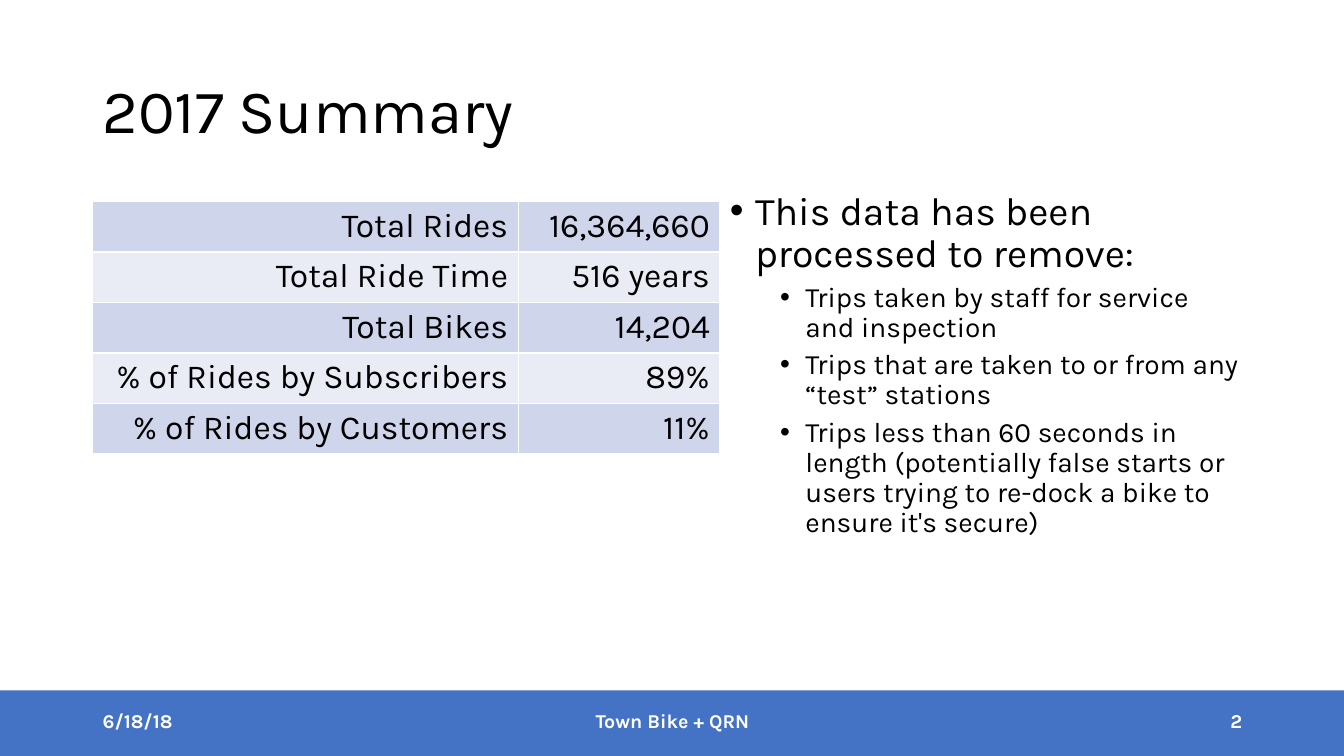
from dataclasses import dataclass

from lxml import etree
from pptx import Presentation
from pptx.dml.color import RGBColor
from pptx.enum.shapes import MSO_SHAPE
from pptx.enum.text import MSO_ANCHOR, PP_ALIGN
from pptx.oxml.ns import qn
from pptx.util import Inches, Pt

RECTANGLE = MSO_SHAPE.RECTANGLE
TOP, MIDDLE = MSO_ANCHOR.TOP, MSO_ANCHOR.MIDDLE
LEFT, CENTER, RIGHT = PP_ALIGN.LEFT, PP_ALIGN.CENTER, PP_ALIGN.RIGHT

FONT = "Karla"
BLACK, WHITE, BLUE = "000000", "FFFFFF", "4472C4"
BAND_FILLS = ("CFD5EA", "E9EBF5")
SLIDE_WIDTH, SLIDE_HEIGHT = 13.33, 7.5
MARGIN = 0.92
FOOTER_TOP = 6.85
ROW_HEIGHT = 0.49
COLUMN_WIDTHS = (4.22, 2)


@dataclass
class FooterItem:
    text: str
    left: float
    width: float
    alignment: PP_ALIGN


@dataclass
class Bullet:
    text: str
    level: int
    size: int
    indent: float
    space_before: int


FOOTER_ITEMS = (
    FooterItem("6/18/18", MARGIN, 3, LEFT),
    FooterItem("Town Bike + QRN", 4.42, 4.5, CENTER),
    FooterItem("2", 9.42, 3, RIGHT),
)

SUMMARY_ROWS = (
    ("Total Rides", "16,364,660"),
    ("Total Ride Time", "516 years"),
    ("Total Bikes", "14,204"),
    ("% of Rides by Subscribers", "89%"),
    ("% of Rides by Customers", "11%"),
)

REMOVED_TRIPS = (
    "Trips taken by staff for service and inspection",
    "Trips that are taken to or from any “test” stations",
    "Trips less than 60 seconds in length (potentially false starts or "
    "users trying to re-dock a bike to ensure it's secure)",
)

BULLETS = (
    Bullet("This data has been processed to remove:", 0, 28, 0.25, 10),
    *(Bullet(trip, 1, 20, 0.75, 5) for trip in REMOVED_TRIPS),
)


def color(value: str) -> RGBColor:
    return RGBColor.from_string(value)


def format_paragraph(paragraph, size: int, font_color: str = BLACK,
                     alignment: PP_ALIGN = LEFT, bold: bool = False) -> None:
    paragraph.alignment = alignment
    for run in paragraph.runs:
        run.font.name = FONT
        run.font.size = Pt(size)
        run.font.bold = bold
        run.font.color.rgb = color(font_color)


def add_text_frame(slide, left: float, top: float, width: float, height: float,
                   anchor: MSO_ANCHOR = MIDDLE):
    text_box = slide.shapes.add_textbox(
        Inches(left), Inches(top), Inches(width), Inches(height))
    text_frame = text_box.text_frame
    text_frame.word_wrap = True
    text_frame.vertical_anchor = anchor
    return text_frame


def add_title(slide) -> None:
    text_frame = add_text_frame(slide, MARGIN, 0.4, 11.5, 1.45)
    text_frame.text = "2017 Summary"
    paragraph = text_frame.paragraphs[0]
    paragraph.line_spacing = 0.9
    format_paragraph(paragraph, 44)


def add_summary_table(slide) -> None:
    frame = slide.shapes.add_table(
        len(SUMMARY_ROWS), len(COLUMN_WIDTHS), Inches(MARGIN), Inches(2),
        Inches(sum(COLUMN_WIDTHS)), Inches(ROW_HEIGHT * len(SUMMARY_ROWS)))
    table = frame.table
    table.first_row = False
    for column, width in zip(table.columns, COLUMN_WIDTHS):
        column.width = Inches(width)
    for row_index, values in enumerate(SUMMARY_ROWS):
        table.rows[row_index].height = Inches(ROW_HEIGHT)
        for column_index, value in enumerate(values):
            cell = table.cell(row_index, column_index)
            cell.fill.solid()
            cell.fill.fore_color.rgb = color(BAND_FILLS[row_index % 2])
            cell.text_frame.text = value
            format_paragraph(cell.text_frame.paragraphs[0], 24, alignment=RIGHT)


def add_bullets(slide) -> None:
    text_frame = add_text_frame(slide, 7.14, 1.85, 5.28, 4.76, TOP)
    text_frame.text = "\n".join(bullet.text for bullet in BULLETS)
    for paragraph, bullet in zip(text_frame.paragraphs, BULLETS):
        paragraph.level = bullet.level
        paragraph.line_spacing = 0.9
        paragraph.space_before = Pt(bullet.space_before)
        format_paragraph(paragraph, bullet.size)
        properties = paragraph._p.get_or_add_pPr()
        properties.set("marL", str(Inches(bullet.indent)))
        properties.set("indent", str(Inches(-0.25)))
        etree.SubElement(properties, qn("a:buFont")).set("typeface", "Arial")
        etree.SubElement(properties, qn("a:buChar")).set("char", "•")


def add_footer(slide) -> None:
    bar = slide.shapes.add_shape(
        RECTANGLE, 0, Inches(FOOTER_TOP), Inches(SLIDE_WIDTH),
        Inches(SLIDE_HEIGHT - FOOTER_TOP))
    bar.shadow.inherit = False
    bar.fill.solid()
    bar.fill.fore_color.rgb = color(BLUE)
    bar.line.fill.background()
    for item in FOOTER_ITEMS:
        text_frame = add_text_frame(slide, item.left, 6.95, item.width, 0.4)
        text_frame.text = item.text
        format_paragraph(text_frame.paragraphs[0], 14, WHITE, item.alignment, True)


def main() -> None:
    presentation = Presentation()
    presentation.slide_width = Inches(SLIDE_WIDTH)
    presentation.slide_height = Inches(SLIDE_HEIGHT)
    slide = presentation.slides.add_slide(presentation.slide_layouts[6])
    add_footer(slide)
    add_title(slide)
    add_bullets(slide)
    add_summary_table(slide)
    presentation.save("out.pptx")


main()
